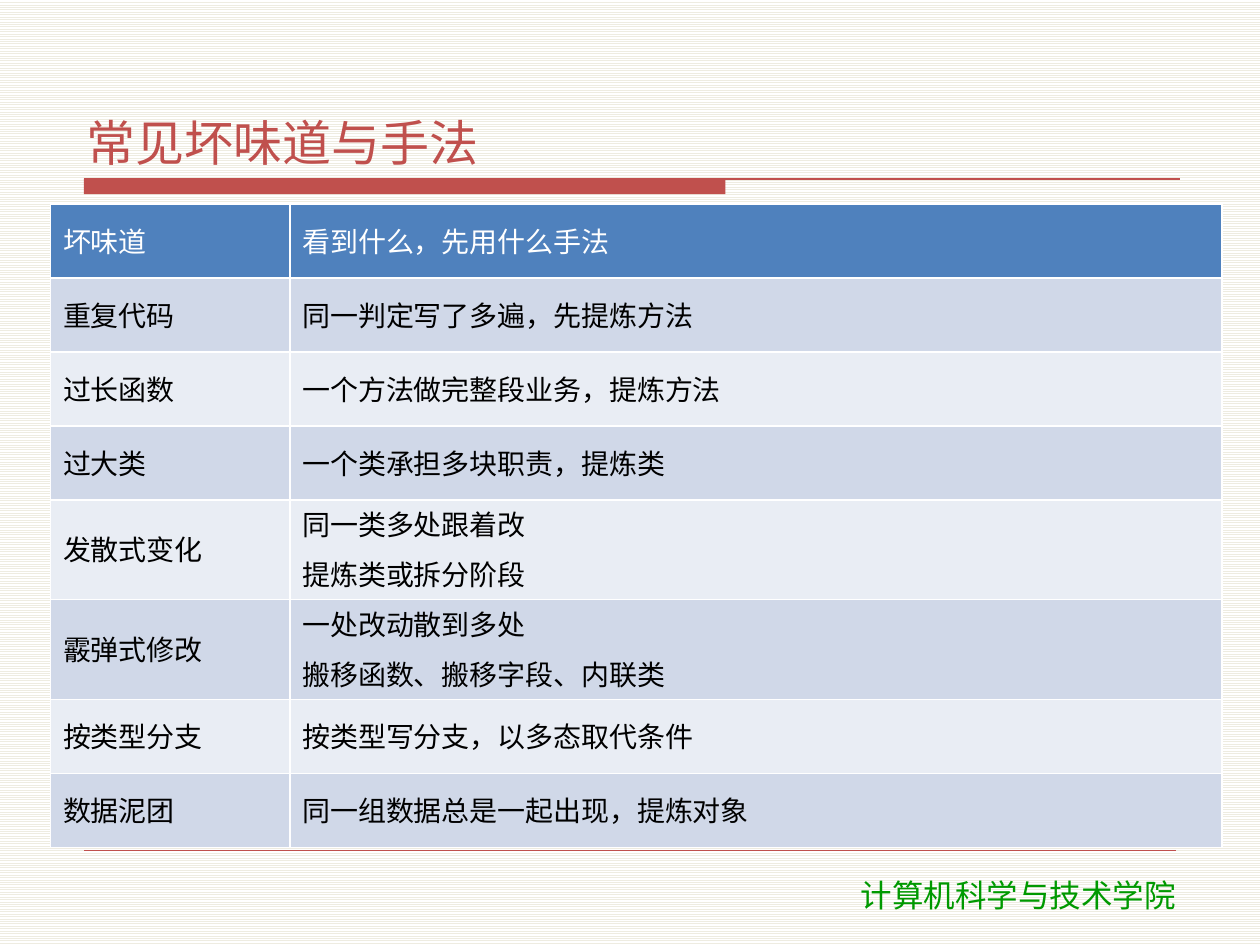
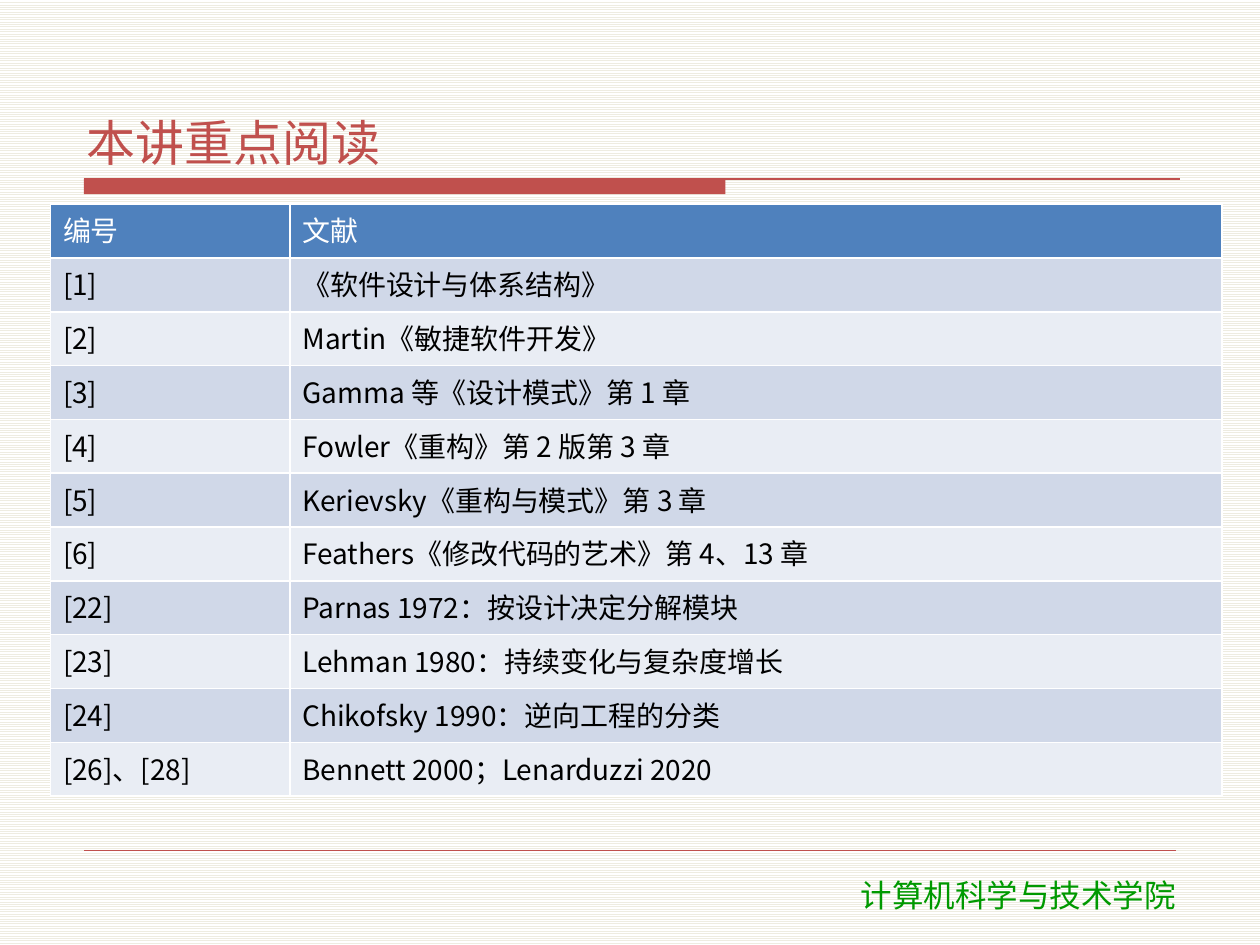
from lxml import etree
from pptx import Presentation
from pptx.dml.color import RGBColor
from pptx.enum.dml import MSO_PATTERN
from pptx.enum.shapes import MSO_CONNECTOR, MSO_SHAPE
from pptx.enum.text import MSO_ANCHOR, MSO_AUTO_SIZE, PP_ALIGN
from pptx.oxml.ns import qn
from pptx.util import Pt

RED = RGBColor(0xC0, 0x50, 0x4D)
GREEN = RGBColor(0x00, 0x99, 0x00)
WHITE = RGBColor(0xFF, 0xFF, 0xFF)
BLACK = RGBColor(0x00, 0x00, 0x00)
STRIPE = RGBColor(0xEE, 0xEC, 0xE1)
HEADER_BLUE = RGBColor(0x4F, 0x81, 0xBD)
BANDS = (RGBColor(0xE9, 0xED, 0xF4), RGBColor(0xD0, 0xD8, 0xE8))

CJK_FONT = "Noto Sans CJK SC"
FOOTER_FONT = "DejaVu Sans"
SCHOOL = "计算机科学与技术学院"

TITLE_BOX = (45.36, 23.76, 630, 75.6)
TITLE_BAND_BOX = (48, 102.24, 626.4, 8.64)
TABLE_BOX = (28.8, 116.64, 669.6, 338.4)
FOOTER_BOX = (48, 486, 624, 39.6)
LABEL_COLUMN = 136.8
TWO_LINE_ROW = 56.9

SMELLS = [
    ("坏味道", "看到什么，先用什么手法"),
    ("重复代码", "同一判定写了多遍，先提炼方法"),
    ("过长函数", "一个方法做完整段业务，提炼方法"),
    ("过大类", "一个类承担多块职责，提炼类"),
    ("发散式变化", "同一类多处跟着改\n提炼类或拆分阶段"),
    ("霰弹式修改", "一处改动散到多处\n搬移函数、搬移字段、内联类"),
    ("按类型分支", "按类型写分支，以多态取代条件"),
    ("数据泥团", "同一组数据总是一起出现，提炼对象"),
]

READINGS = [
    ("编号", "文献"),
    ("[1]", "《软件设计与体系结构》"),
    ("[2]", "Martin《敏捷软件开发》"),
    ("[3]", "Gamma 等《设计模式》第 1 章"),
    ("[4]", "Fowler《重构》第 2 版第 3 章"),
    ("[5]", "Kerievsky《重构与模式》第 3 章"),
    ("[6]", "Feathers《修改代码的艺术》第 4、13 章"),
    ("[22]", "Parnas 1972：按设计决定分解模块"),
    ("[23]", "Lehman 1980：持续变化与复杂度增长"),
    ("[24]", "Chikofsky 1990：逆向工程的分类"),
    ("[26]、[28]", "Bennett 2000；Lenarduzzi 2020"),
]


def style_paragraph(paragraph, size, color, face=CJK_FONT):
    """Set one face, for Latin and East Asian text, on a whole paragraph."""
    font = paragraph.font
    font.size, font.bold, font.name = Pt(size), False, face
    font.color.rgb = color
    defaults = paragraph._p.pPr.find(qn("a:defRPr"))
    east_asian = etree.Element(qn("a:ea"), typeface=face)
    defaults.find(qn("a:latin")).addnext(east_asian)


def add_rule(slide, left, right, y, width):
    """Draw a flat horizontal red line."""
    rule = slide.shapes.add_connector(
        MSO_CONNECTOR.STRAIGHT, Pt(left), Pt(y), Pt(right), Pt(y))
    rule.line.color.rgb = RED
    rule.line.width = Pt(width)
    etree.SubElement(rule._element.spPr, qn("a:effectLst"))


def add_title_band(slide, box):
    """Draw the thick bar and the thin rule that runs on from it."""
    left, top, width, height = box
    bar = slide.shapes.add_shape(
        MSO_SHAPE.RECTANGLE, Pt(left), Pt(top), Pt(366.48), Pt(height))
    bar.shadow.inherit = False
    bar.fill.solid()
    bar.fill.fore_color.rgb = RED
    bar.line.fill.background()
    add_rule(slide, left, left + width, top, 0.75)


def add_footer(slide, box):
    """Draw the bottom rule with the school name below its right end."""
    left, top, width, height = box
    add_rule(slide, left, left + width, top, 0.25)
    school = slide.shapes.add_textbox(
        Pt(left + 389), Pt(top + 10.8), Pt(289.44), Pt(height - 10.8))
    frame = school.text_frame
    frame.word_wrap = True
    frame.text = SCHOOL
    name = frame.paragraphs[0]
    name.alignment = PP_ALIGN.CENTER
    style_paragraph(name, 18, GREEN, FOOTER_FONT)


def set_title(slide, box, text):
    """Place and format the title placeholder."""
    title = slide.shapes.title
    title.left, title.top, title.width, title.height = map(Pt, box)
    frame = title.text_frame
    frame.text = text
    frame.word_wrap = True
    frame.auto_size = MSO_AUTO_SIZE.NONE
    frame.vertical_anchor = MSO_ANCHOR.BOTTOM
    frame.margin_left = frame.margin_right = Pt(4.32)
    frame.margin_top = frame.margin_bottom = Pt(1.44)
    heading = frame.paragraphs[0]
    heading.alignment = PP_ALIGN.LEFT
    heading.space_after = Pt(2)
    style_paragraph(heading, 28, RED)


def set_borders(cell):
    """Give a cell thin white borders, put before its fill."""
    properties = cell._tc.get_or_add_tcPr()
    for position, side in enumerate("LRTB"):
        border = etree.Element(qn(f"a:ln{side}"), w=str(Pt(1)))
        fill = etree.SubElement(border, qn("a:solidFill"))
        etree.SubElement(fill, qn("a:srgbClr"), val=str(WHITE))
        properties.insert(position, border)


def fill_cell(cell, text, color, background):
    """Write and format one table cell."""
    cell.text = text
    cell.vertical_anchor = MSO_ANCHOR.MIDDLE
    cell.fill.solid()
    cell.fill.fore_color.rgb = background
    set_borders(cell)
    for index, line in enumerate(cell.text_frame.paragraphs):
        line.line_spacing = 0.9
        line.space_before = Pt(6 if index else 0)
        line.space_after = Pt(2)
        style_paragraph(line, 16, color)


def add_banded_table(slide, box, entries):
    """Add a two-column table of equal rows, taller where text has two lines."""
    left, top, width, height = box
    table = slide.shapes.add_table(
        len(entries), 2, Pt(left), Pt(top), Pt(width), Pt(height)).table
    table.columns[0].width = Pt(LABEL_COLUMN)
    table.columns[1].width = Pt(width - LABEL_COLUMN)
    for index, entry in enumerate(entries):
        has_two_lines = "\n" in entry[1]
        table.rows[index].height = Pt(
            TWO_LINE_ROW if has_two_lines else height / len(entries))
        color = BLACK if index else WHITE
        background = BANDS[index % 2] if index else HEADER_BLUE
        for column, text in enumerate(entry):
            fill_cell(table.cell(index, column), text, color, background)


def add_table_slide(deck, title, entries):
    """Add a slide with the shared frame, a title and a table."""
    slide = deck.slides.add_slide(deck.slide_layouts[5])
    add_title_band(slide, TITLE_BAND_BOX)
    add_footer(slide, FOOTER_BOX)
    set_title(slide, TITLE_BOX, title)
    add_banded_table(slide, TABLE_BOX, entries)


def main():
    """Build the deck and save it."""
    deck = Presentation()
    deck.slide_width, deck.slide_height = Pt(720), Pt(540)
    backdrop = deck.slide_master.background.fill
    backdrop.patterned()
    backdrop.pattern = MSO_PATTERN.LIGHT_HORIZONTAL
    backdrop.fore_color.rgb = STRIPE
    backdrop.back_color.rgb = WHITE
    add_table_slide(deck, "常见坏味道与手法", SMELLS)
    add_table_slide(deck, "本讲重点阅读", READINGS)
    deck.save("out.pptx")


if __name__ == "__main__":
    main()
